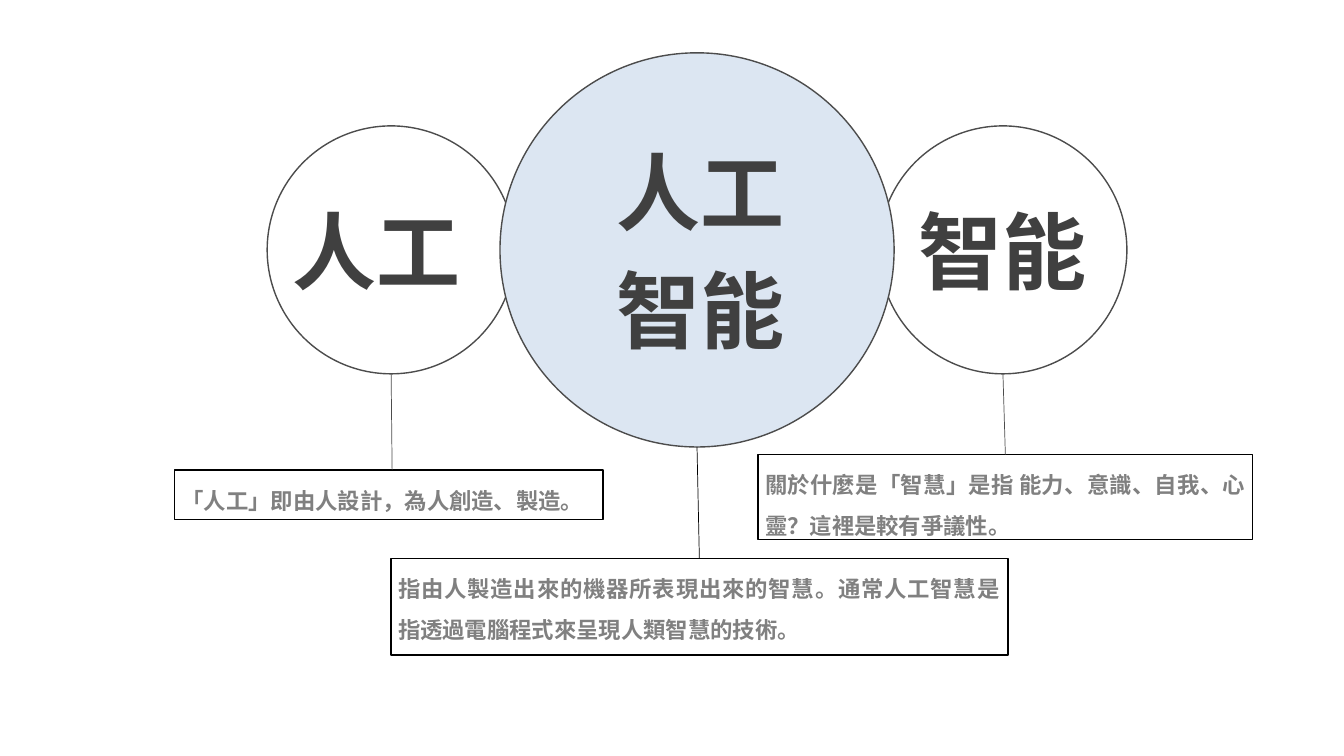
from lxml.etree import SubElement
from pptx import Presentation
from pptx.dml.color import RGBColor
from pptx.enum.shapes import MSO_CONNECTOR, MSO_SHAPE
from pptx.enum.text import MSO_ANCHOR, PP_ALIGN
from pptx.oxml.ns import qn
from pptx.util import Pt

# Content, back to front: circle centre, size and fill; label; note; foot of the line
TERMS = [
    dict(mid=279.4, size=177.1, fill=None, label=["人工"], left=203.8,
         note="「人工」即由人設計，為人創造、製造。",
         box=(124.6, 335.7, 306.2, 35.3), foot=280.1, line="edge"),
    dict(mid=716.4, size=177.1, fill=None, label=["智能"], left=651,
         note="關於什麼是「智慧」是指 能力、意識、自我、心靈？這裡是較有爭議性。",
         box=(541.4, 324.7, 353.5, 60.5), foot=718.1, line="edge"),
    dict(mid=497.9, size=281.5, fill="pale", label=["人工", "智能"], left=435.6,
         note="指由人製造出來的機器所表現出來的智慧。通常人工智慧是指透過電腦程式來呈現人類智慧的技術。",
         box=(279.2, 398.9, 440.7, 69.1), foot=499.6, line="black"),
]

THEME = dict(font="Noto Sans CJK SC", big=60, small=16, edge="4C4C4C",
             pale="DCE6F2", title="404040", body="808080",
             black="000000", white="FFFFFF")
AXIS = 178.5                 # shared centre height of the circles
LABEL = (153.4, 63.4)        # label width and height


def tint(name):
    return RGBColor.from_string(THEME[name])


def style(shape, fill, line):
    shape.shadow.inherit = False
    if fill:
        shape.fill.solid()
        shape.fill.fore_color.rgb = tint(fill)
    else:
        shape.fill.background()
    shape.line.color.rgb = tint(line)
    shape.line.width = Pt(1)


def write(shape, lines, size, color, anchor, align, space):
    frame = shape.text_frame
    frame.word_wrap = True
    frame.vertical_anchor = anchor
    frame.margin_left = frame.margin_right = Pt(5.1)
    frame.margin_top = frame.margin_bottom = Pt(2.6)
    for i, text in enumerate(lines):
        para = frame.add_paragraph() if i else frame.paragraphs[0]
        para.alignment = align
        para.line_spacing = space
        para.space_before = Pt(THEME[size] * 0.2)
        run = para.add_run()
        run.text = text
        font = run.font
        font.name, font.size, font.bold = THEME["font"], Pt(THEME[size]), True
        font.color.rgb = tint(color)
        east = SubElement(run._r.get_or_add_rPr(), qn("a:ea"))
        east.set("typeface", THEME["font"])


deck = Presentation()
deck.slide_width, deck.slide_height = Pt(960), Pt(540)
shapes = deck.slides.add_slide(deck.slide_layouts[6]).shapes

# Circles
for term in TERMS:
    size = term["size"]
    disc = shapes.add_shape(MSO_SHAPE.OVAL, Pt(term["mid"] - size / 2),
                            Pt(AXIS - size / 2), Pt(size), Pt(size))
    style(disc, term["fill"], "edge")

# Labels, notes and the lines between circle and note
for term in TERMS:
    wide, high = LABEL
    label = shapes.add_textbox(Pt(term["left"]), Pt(AXIS - high / 2), Pt(wide), Pt(high))
    write(label, term["label"], "big", "title", MSO_ANCHOR.MIDDLE, PP_ALIGN.LEFT, 1.0)

    x, y, w, h = term["box"]
    note = shapes.add_shape(MSO_SHAPE.RECTANGLE, Pt(x), Pt(y), Pt(w), Pt(h))
    style(note, "white", "black")
    write(note, [term["note"]], "small", "body", MSO_ANCHOR.TOP, PP_ALIGN.JUSTIFY, 1.5)

    link = shapes.add_connector(MSO_CONNECTOR.STRAIGHT, Pt(term["mid"]),
                                Pt(AXIS + term["size"] / 2), Pt(term["foot"]), Pt(y))
    link.line.color.rgb = tint(term["line"])
    link.line.width = Pt(0.5)
    SubElement(link._element.spPr, qn("a:effectLst"))
    if abs(term["foot"] - x - w / 2) < 1:
        link.end_connect(note, 0)

deck.save("out.pptx")
